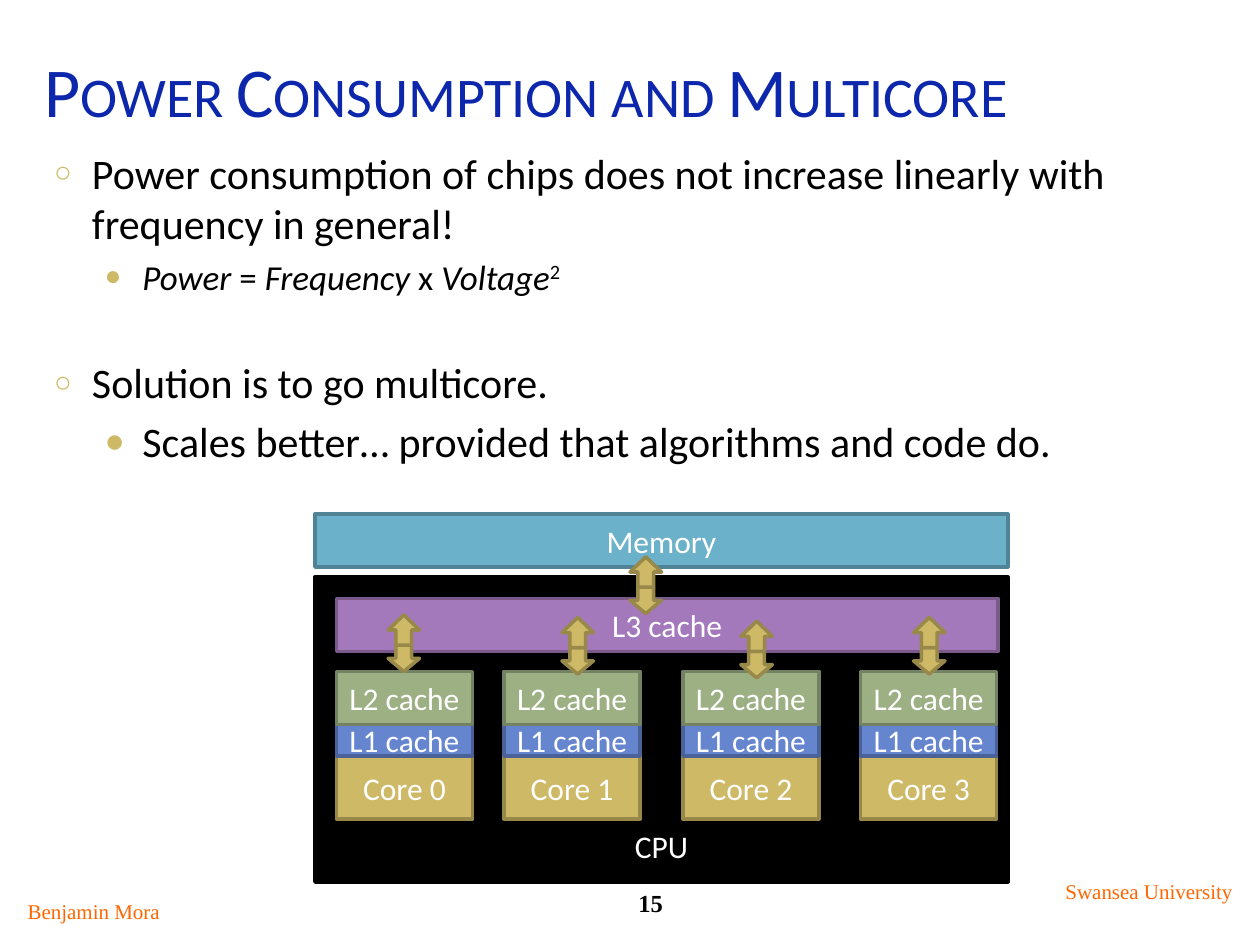
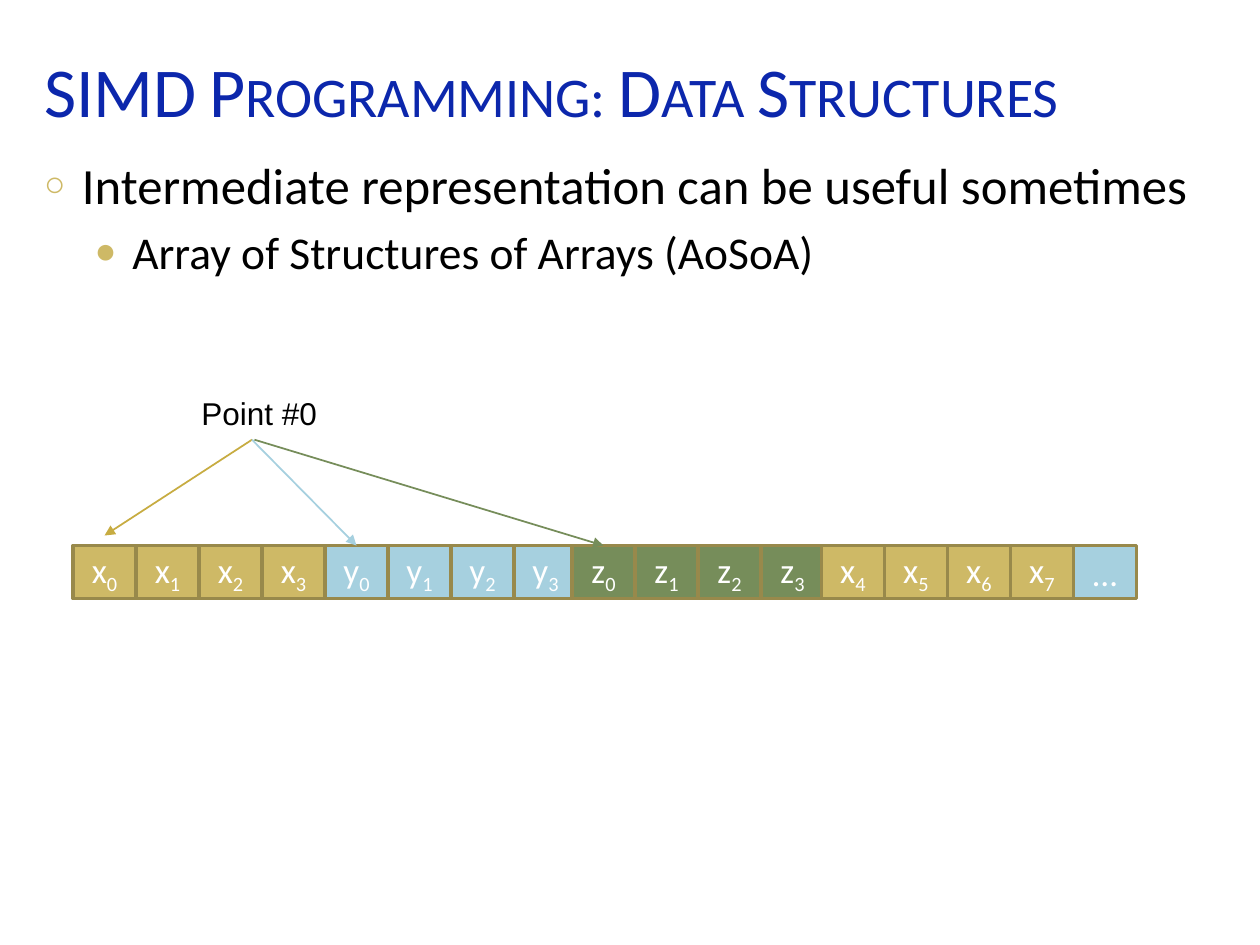
from pptx import Presentation
from pptx.dml.color import RGBColor
from pptx.enum.shapes import MSO_CONNECTOR, MSO_SHAPE
from pptx.enum.text import MSO_ANCHOR, MSO_AUTO_SIZE, PP_ALIGN
from pptx.oxml.ns import qn
from pptx.util import Inches, Pt
from lxml.etree import SubElement

BLUE = RGBColor(0x0C, 0x27, 0xAC)
BLACK = RGBColor(0, 0, 0)
WHITE = RGBColor(255, 255, 255)
ORANGE = RGBColor(0xFF, 0x66, 0x00)
GOLD = RGBColor(0xCE, 0xB9, 0x66)
DARK_GOLD = RGBColor(0x98, 0x89, 0x4B)
ARROW_GOLD = RGBColor(0xC7, 0xAC, 0x41)
PALE_BLUE = RGBColor(0xA6, 0xD0, 0xDF)
GREEN = RGBColor(0x76, 0x8D, 0x5A)

CORE_STYLE = (GOLD, DARK_GOLD)
L1_STYLE = (RGBColor(0x65, 0x85, 0xCF), RGBColor(0x4B, 0x62, 0x99))
L2_STYLE = (RGBColor(0x9C, 0xB0, 0x84), RGBColor(0x73, 0x82, 0x62))
L3_STYLE = (RGBColor(0xA3, 0x79, 0xBB), RGBColor(0x79, 0x5A, 0x8A))
MEMORY_STYLE = (RGBColor(0x6B, 0xB1, 0xC9), RGBColor(0x4F, 0x83, 0x95))
CPU_STYLE = (BLACK, BLACK)

BULLETS = [
    {"character": "○", "percent": 70, "margin": 0.3, "space": 6},
    {"character": "●", "percent": 80, "margin": 0.7, "space": None},
]
ITALIC = {"italic": True}


def apply_format(target, values):
    for name, value in values.items():
        setattr(target, name, value)


def place(shape, box):
    names = ("left", "top", "width", "height")
    apply_format(shape, dict(zip(names, map(Inches, box))))


def add_run(paragraph, text, size, color, font="Calibri", baseline=0, **styles):
    run = paragraph.add_run()
    run.text = text
    apply_format(run.font, {"size": Pt(size), "name": font, **styles})
    run.font.color.rgb = color
    if baseline:
        run.font._element.set("baseline", str(baseline * 1000))
    return run


def add_title(slide, text):
    title = slide.shapes.title
    place(title, (0.25, 0.17, 9.5, 0.92))
    frame = title.text_frame
    apply_format(frame, {"auto_size": MSO_AUTO_SIZE.NONE,
                         "vertical_anchor": MSO_ANCHOR.BOTTOM})
    paragraph = frame.paragraphs[0]
    paragraph.alignment = PP_ALIGN.LEFT
    run = add_run(paragraph, text, 40, BLUE)
    run.font._element.set("cap", "small")


def add_bullet(paragraph, level, space):
    bullet = BULLETS[level]
    paragraph.level = level
    space = space or bullet["space"]
    if space:
        paragraph.space_before = Pt(space)
    properties = paragraph._p.get_or_add_pPr()
    properties.set("marL", str(Inches(bullet["margin"])))
    properties.set("indent", str(Inches(-0.3)))
    color = SubElement(properties, qn("a:buClr"))
    SubElement(color, qn("a:srgbClr")).set("val", str(GOLD))
    percent = str(bullet["percent"] * 1000)
    SubElement(properties, qn("a:buSzPct")).set("val", percent)
    SubElement(properties, qn("a:buChar")).set("char", bullet["character"])


def add_body(slide, box, items):
    body = slide.placeholders[1]
    place(body, box)
    frame = body.text_frame
    apply_format(frame, {"auto_size": MSO_AUTO_SIZE.NONE,
                         "vertical_anchor": MSO_ANCHOR.TOP})
    for index, (level, size, space, runs) in enumerate(items):
        paragraph = frame.add_paragraph() if index else frame.paragraphs[0]
        add_bullet(paragraph, level, space)
        for text, styles in runs:
            add_run(paragraph, text, size, BLACK, **styles)


def add_label(slide, box, text, size, color, font, alignment, bold=False):
    label = slide.shapes.add_textbox(*map(Inches, box))
    label.text_frame.word_wrap = True
    paragraph = label.text_frame.paragraphs[0]
    paragraph.alignment = alignment
    add_run(paragraph, text, size, color, font, bold=bold)


def add_footer(slide, number):
    for box, text, size, color, bold in (
        ((4.5, 7, 1.33, 0.33), number, 14, BLACK, True),
        ((0.08, 7.08, 1.33, 0.3), "Benjamin Mora", 12, ORANGE, False),
        ((8.33, 6.92, 1.58, 0.3), "Swansea University", 12, ORANGE, False),
    ):
        add_label(slide, box, text, size, color, "Times New Roman",
                  PP_ALIGN.CENTER, bold)


def add_filled_shape(shapes, kind, box, style):
    shape = shapes.add_shape(kind, *map(Inches, box))
    fill, line = style
    shape.shadow.inherit = False
    shape.fill.solid()
    shape.fill.fore_color.rgb = fill
    shape.line.color.rgb = line
    shape.line.width = Pt(2)
    return shape


def add_block(slide, box, style, text, size=18, subscript="", **frame_format):
    block = add_filled_shape(slide.shapes, MSO_SHAPE.RECTANGLE, box, style)
    frame = block.text_frame
    apply_format(frame, {
        "margin_left": Inches(0.05), "margin_right": Inches(0.05),
        "margin_top": 0, "margin_bottom": 0,
        "vertical_anchor": MSO_ANCHOR.MIDDLE, **frame_format})
    paragraph = frame.paragraphs[0]
    paragraph.alignment = PP_ALIGN.CENTER
    add_run(paragraph, text, size, WHITE)
    if subscript:
        add_run(paragraph, subscript, size, WHITE, baseline=-25)


def add_double_arrow(slide, left, top):
    group = slide.shapes.add_group_shape()
    for offset, height, rotation in ((0.24, 0.21, 0), (0, 0.24, 180)):
        arrow = add_filled_shape(group.shapes, MSO_SHAPE.DOWN_ARROW,
                                 (left, top + offset, 0.25, height), CORE_STYLE)
        arrow.rotation = rotation


def add_core(slide, left, top, number):
    for offset, height, style, text in (
        (0.67, 0.5, CORE_STYLE, f"Core {number}"),
        (0.42, 0.25, L1_STYLE, "L1 cache"),
        (0, 0.42, L2_STYLE, "L2 cache"),
    ):
        add_block(slide, (left, top + offset, 1.08, height), style, text)


def add_processor_diagram(slide, left, top, width):
    add_block(slide, (left, top + 0.5, width, 2.42), CPU_STYLE, "CPU",
              vertical_anchor=MSO_ANCHOR.BOTTOM, margin_bottom=Inches(0.14))
    for number, offset in enumerate((0.17, 1.5, 2.92, 4.33)):
        add_core(slide, left + offset, top + 1.25, number)
    add_block(slide, (left + 0.17, top + 0.67, width - 0.25, 0.42),
              L3_STYLE, "L3 cache")
    add_block(slide, (left, top, width, 0.42), MEMORY_STYLE, "Memory")
    for across, down in ((4.75, 0.82), (3.38, 0.85), (0.58, 0.8),
                         (2.5, 0.34), (1.96, 0.82)):
        add_double_arrow(slide, left + across, top + down)


def add_arrow(slide, start, end, color):
    arrow = slide.shapes.add_connector(
        MSO_CONNECTOR.STRAIGHT, *map(Inches, start + end))
    arrow.line.color.rgb = color
    arrow.line.width = Pt(1)
    SubElement(arrow.line._get_or_add_ln(), qn("a:tailEnd")).set("type", "triangle")
    SubElement(arrow._element.spPr, qn("a:effectLst"))


def add_memory_layout(slide, left, top):
    cell_width = 0.5
    for offset, letter, first, color in (
        (0, "x", 0, GOLD), (2, "y", 0, PALE_BLUE),
        (3.96, "z", 0, GREEN), (5.94, "x", 4, GOLD),
    ):
        for column in range(4):
            box = (left + offset + column * cell_width, top, cell_width, 0.42)
            add_block(slide, box, (color, DARK_GOLD), letter, 20,
                      str(first + column))
    add_block(slide, (left + 7.94, top, cell_width, 0.42),
              (PALE_BLUE, DARK_GOLD), "…", 20)
    add_label(slide, (left + 0.92, top - 1.25, 2.01, 0.4), "Point #0", 18,
              BLACK, "Arial", PP_ALIGN.LEFT)
    for start, across, down, color in (
        (1.42, 0.25, -0.08, ARROW_GOLD),
        (1.42, 2.25, 0, PALE_BLUE),
        (1.44, 4.21, 0, GREEN),
    ):
        add_arrow(slide, (left + start, top - 0.84),
                  (left + across, top + down), color)


def build_multicore_slide(slide):
    add_title(slide, "Power Consumption and Multicore")
    formula = [("Power", ITALIC), (" = ", {}), ("Frequency", ITALIC),
               (" x ", {}), ("Voltage", ITALIC), ("2", {"baseline": 30})]
    add_body(slide, (0.33, 1.12, 9.5, 5.54), [
        (0, 24, None, [("Power consumption of chips does not increase linearly "
                        "with frequency in general!", {})]),
        (1, 20, None, formula),
        (0, 24, 34, [("Solution is to go multicore.", {})]),
        (1, 24, None, [("Scales better… provided that algorithms and code do.", {})]),
    ])
    add_footer(slide, "15")
    add_processor_diagram(slide, 2.5, 4.08, 5.5)


def build_data_structures_slide(slide):
    add_title(slide, "SIMD Programming: Data Structures")
    add_body(slide, (0.25, 1.17, 9.5, 1.5), [
        (0, 29, None, [("Intermediate representation can be useful sometimes", {})]),
        (1, 26, None, [("Array of Structures of Arrays (AoSoA)", {})]),
    ])
    add_memory_layout(slide, 0.58, 4.33)


def main():
    presentation = Presentation()
    apply_format(presentation, {"slide_width": Inches(10),
                                "slide_height": Inches(7.5)})
    layout = presentation.slide_layouts[1]
    for build in (build_multicore_slide, build_data_structures_slide):
        build(presentation.slides.add_slide(layout))
    presentation.save("out.pptx")


if __name__ == "__main__":
    main()
